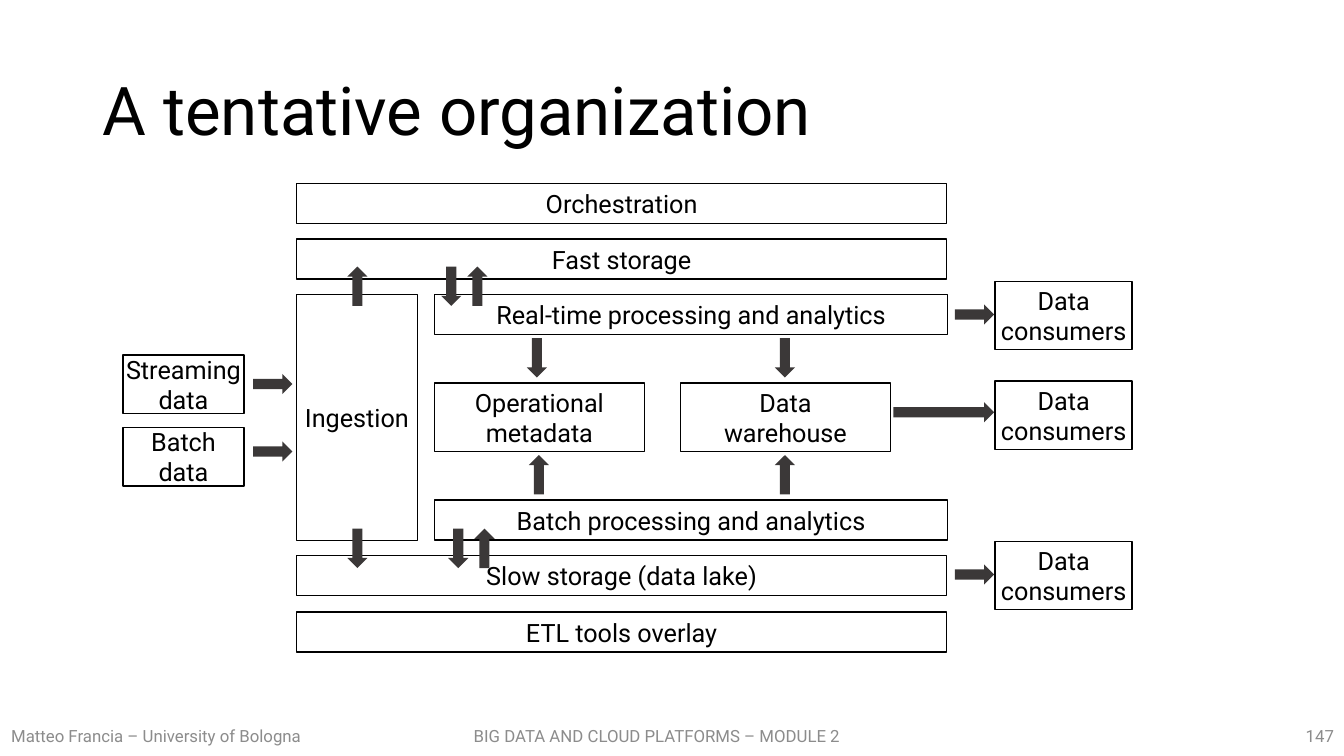
from pptx import Presentation
from pptx.dml.color import RGBColor
from pptx.enum.shapes import MSO_SHAPE
from pptx.enum.text import MSO_ANCHOR, PP_ALIGN
from pptx.util import Pt

PX = 9144  # EMU per px, 100 px to the inch
FONT = "Roboto"
COLORS = {"text": "000000", "box": "FFFFFF", "arrow": "3B3838", "footer": "8C8C8C"}
RIGHT, DOWN, UP = 0, 90, 270


def rgb(name):
    return RGBColor.from_string(COLORS[name])


def emu(*lengths):
    return [n * PX for n in lengths]


def write(sp, text, size, color, align):
    tf = sp.text_frame
    tf.text = text
    tf.word_wrap = True
    tf.vertical_anchor = MSO_ANCHOR.MIDDLE
    for p in tf.paragraphs:
        p.alignment = align
        p.font.size = Pt(size)
        p.font.name = FONT
        p.font.color.rgb = rgb(color)


def add_box(slide, text, x, y, w, h):
    sp = slide.shapes.add_shape(MSO_SHAPE.RECTANGLE, *emu(x, y, w, h))
    sp.shadow.inherit = False
    sp.fill.solid()
    sp.fill.fore_color.rgb = rgb("box")
    sp.line.color.rgb = rgb("text")
    sp.line.width = Pt(1)
    tf = sp.text_frame
    tf.margin_left = tf.margin_top = tf.margin_right = tf.margin_bottom = 0
    write(sp, text, 18, "text", PP_ALIGN.CENTER)


def add_arrow(slide, x, y, rotation, length=39):
    sp = slide.shapes.add_shape(MSO_SHAPE.RIGHT_ARROW, *emu(x, y, length, 20))
    sp.rotation = rotation
    sp.shadow.inherit = False
    sp.fill.solid()
    sp.fill.fore_color.rgb = rgb("arrow")
    sp.line.fill.background()


def add_title(slide, text, x, y, w, h):
    sp = slide.shapes.title
    sp.left, sp.top, sp.width, sp.height = emu(x, y, w, h)
    write(sp, text, 48, "text", PP_ALIGN.LEFT)
    sp.text_frame.paragraphs[0].line_spacing = 0.9


def add_footer(slide, x, y, w, h):
    parts = [
        ("Matteo Francia – University of Bologna", x, 310, PP_ALIGN.CENTER),
        ("BIG DATA AND CLOUD PLATFORMS – MODULE 2", x + 460, 413, PP_ALIGN.LEFT),
        ("147", x + w - 300, 300, PP_ALIGN.RIGHT),
    ]
    for text, left, width, align in parts:
        sp = slide.shapes.add_textbox(*emu(left, y, width, h))
        write(sp, text, 12, "footer", align)


def add_architecture(slide, x, y, w, h):
    bar_h, block_h, source_h = 40, 68, 58
    core_x, core_w = x + 172, 645
    inner_x, inner_w = x + 309, 509
    consumer_w = 136
    consumer_x = x + w - consumer_w

    # Data sources and ingestion
    for text, top in (("Streaming data", 170), ("Batch\ndata", 242)):
        add_box(slide, text, x, y + top, 120, source_h)
    add_box(slide, "Ingestion", core_x, y + 110, 120, 244)

    # Full-width layers
    layers = [("Orchestration", 0), ("Fast storage", 55),
              ("Slow storage (data lake)", 369), ("ETL tools overlay", h - bar_h)]
    for text, top in layers:
        add_box(slide, text, core_x, y + top, core_w, bar_h)

    # Processing layers and the stores between them
    for text, top in (("Real-time processing and analytics", 110),
                      ("Batch processing and analytics", 314)):
        add_box(slide, text, inner_x, y + top, inner_w, bar_h)
    for i, text in enumerate(("Operational metadata", "Data\vwarehouse")):
        add_box(slide, text, inner_x + i * 244, y + 198, 208, block_h)

    # Data consumers
    for top in (97, 196, 355):
        add_box(slide, "Data\vconsumers", consumer_x, y + top, consumer_w, block_h)

    # Arrows from sources and to consumers
    for top in (189, 256):
        add_arrow(slide, x + 129, y + top, RIGHT)
    for top, length in ((120, 39), (217, 100), (378, 39)):
        add_arrow(slide, consumer_x - length - 1, y + top, RIGHT, length)

    # Arrows between layers
    layer_arrows = {
        92: [(213, UP), (306, DOWN), (332, UP)],
        163: [(391, DOWN), (637, DOWN)],
        279: [(393, UP), (637, UP)],
        352: [(213, DOWN), (313, DOWN), (339, UP)],
    }
    for top, arrows in layer_arrows.items():
        for left, rotation in arrows:
            add_arrow(slide, x + left, y + top, rotation)


def main():
    prs = Presentation()
    prs.slide_width, prs.slide_height = emu(1333, 750)
    slide = prs.slides.add_slide(prs.slide_layouts[5])
    add_title(slide, "A tentative organization", 92, 40, 1150, 145)
    add_architecture(slide, 122, 182, 1001, 465)
    add_footer(slide, 0, 710, 1333, 40)
    prs.save("out.pptx")


if __name__ == "__main__":
    main()
